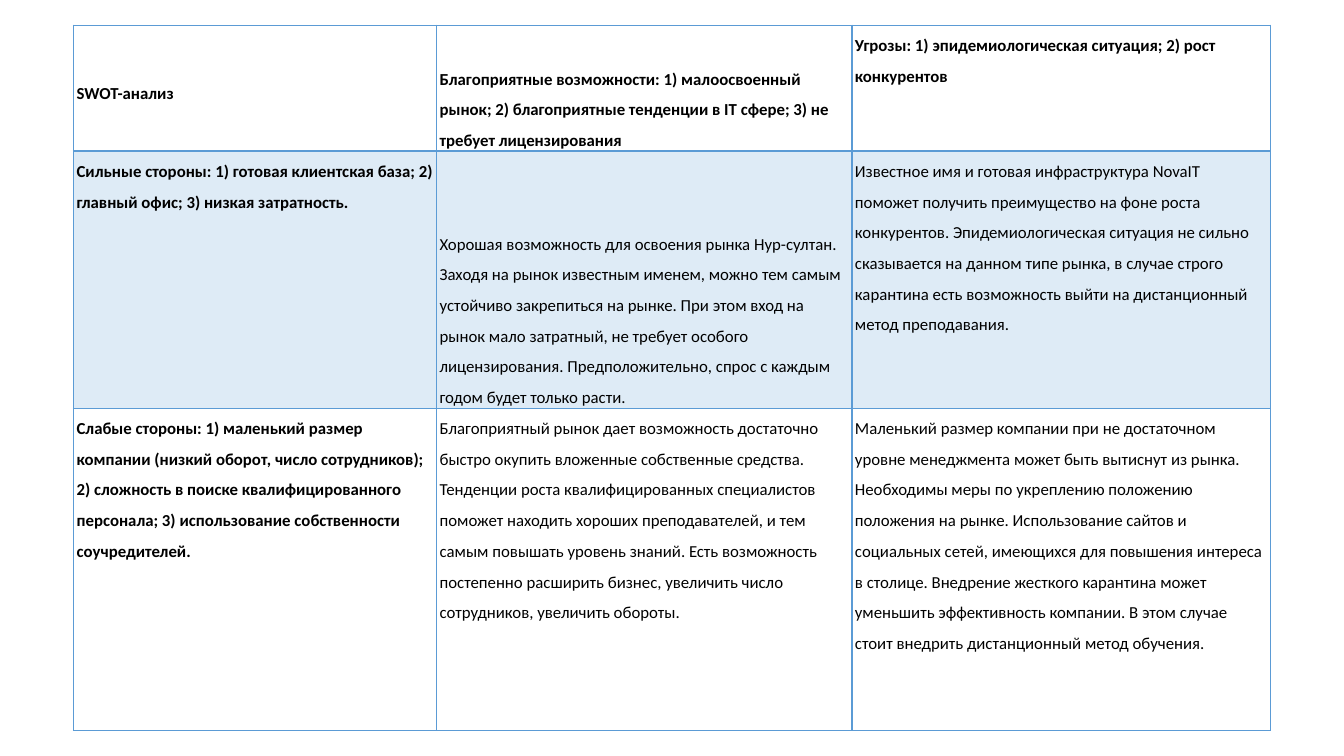
import pptx
import pptx.util
import pptx.dml.color
import pptx.enum.text
import pptx.oxml
import pptx.oxml.ns
import lxml.etree

Inches = pptx.util.Inches
Pt = pptx.util.Pt
RGBColor = pptx.dml.color.RGBColor
Anchor = pptx.enum.text.MSO_ANCHOR
qn = pptx.oxml.ns.qn

BLACK = RGBColor(0x00, 0x00, 0x00)
BLUE = RGBColor(0x5B, 0x9B, 0xD5)

WIDTHS = [3.6, 4.12, 4.15]
HEIGHTS = [1.25, 2.55, 3.2]
ANCHORS = {(0, 0): Anchor.MIDDLE, (0, 1): Anchor.BOTTOM, (1, 1): Anchor.BOTTOM}
SWOT = [
    [
        "SWOT-анализ",
        "Благоприятные возможности: 1) малоосвоенный рынок; 2) благоприятные "
        "тенденции в IT сфере; 3) не требует лицензирования",
        "Угрозы: 1) эпидемиологическая ситуация; 2) рост конкурентов",
    ],
    [
        "Сильные стороны: 1) готовая клиентская база; 2) главный офис; "
        "3) низкая затратность.",
        "Хорошая возможность для освоения рынка Нур-султан. Заходя на рынок "
        "известным именем, можно тем самым устойчиво закрепиться на рынке. "
        "При этом вход на рынок мало затратный, не требует особого "
        "лицензирования. Предположительно, спрос с каждым годом будет только "
        "расти.",
        "Известное имя и готовая инфраструктура NovaIT поможет получить "
        "преимущество на фоне роста конкурентов. Эпидемиологическая ситуация "
        "не сильно сказывается на данном типе рынка, в случае строго карантина "
        "есть возможность выйти на дистанционный метод преподавания.",
    ],
    [
        "Слабые стороны: 1) маленький размер компании (низкий оборот, число "
        "сотрудников); 2) сложность в поиске квалифицированного персонала; "
        "3) использование собственности соучредителей.",
        "Благоприятный рынок дает возможность достаточно быстро окупить "
        "вложенные собственные средства. Тенденции роста квалифицированных "
        "специалистов поможет находить хороших преподавателей, и тем самым "
        "повышать уровень знаний. Есть возможность постепенно расширить "
        "бизнес, увеличить число сотрудников, увеличить обороты.",
        "Маленький размер компании при не достаточном уровне менеджмента может "
        "быть вытиснут из рынка. Необходимы меры по укреплению положению "
        "положения на рынке. Использование сайтов и социальных сетей, "
        "имеющихся для повышения интереса в столице. Внедрение жесткого "
        "карантина может уменьшить эффективность компании. В этом случае стоит "
        "внедрить дистанционный метод обучения.",
    ],
]


def write(cell, text, size=12, bold=False, color=BLACK, anchor=Anchor.TOP):
    """Put formatted text into a table cell."""
    cell.margin_left = cell.margin_right = Inches(0.03)
    cell.margin_top = cell.margin_bottom = 0
    cell.vertical_anchor = anchor
    para = cell.text_frame.paragraphs[0]
    para.line_spacing = 1.5
    run = para.add_run()
    run.text = text
    run.font.name = "Calibri"
    run.font.size = Pt(size)
    run.font.bold = bold
    run.font.color.rgb = color


def border(cell, **widths):
    """Draw the cell edges L, R, T and B with widths in points."""
    props = cell._tc.get_or_add_tcPr()
    for side, width in widths.items():
        line = lxml.etree.SubElement(props, qn("a:ln" + side), w=str(Pt(width)))
        fill = lxml.etree.SubElement(line, qn("a:solidFill"))
        lxml.etree.SubElement(fill, qn("a:srgbClr"), val=str(BLUE))


def tint(cell, color, share):
    """Fill a cell with a colour at the given percentage of opacity."""
    cell.fill.solid()
    cell.fill.fore_color.rgb = color
    tone = cell._tc.tcPr.find(qn("a:solidFill")).find(qn("a:srgbClr"))
    lxml.etree.SubElement(tone, qn("a:alpha"), val=str(share * 1000))


def add_grid(slide, left, top):
    """Add the SWOT table to the slide."""
    frame = slide.shapes.add_table(
        len(HEIGHTS), len(WIDTHS), Inches(left), Inches(top),
        Inches(sum(WIDTHS)), Inches(sum(HEIGHTS)))
    table = frame.table
    table.first_row = table.horz_banding = False
    for column, width in zip(table.columns, WIDTHS):
        column.width = Inches(width)
    for row, height in zip(table.rows, HEIGHTS):
        row.height = Inches(height)
    for i, texts in enumerate(SWOT):
        for j, text in enumerate(texts):
            cell = table.cell(i, j)
            write(cell, text, bold=i == 0 or j == 0,
                  anchor=ANCHORS.get((i, j), Anchor.TOP))
            border(cell, L=1, R=1, T=2 if i == 1 else 1, B=2 if i == 0 else 1)
            if i == 1:
                tint(cell, BLUE, 20)
            else:
                cell.fill.background()


def main():
    """Build and save the SWOT slide."""
    deck = pptx.Presentation()
    deck.slide_width = Inches(13.33)
    deck.slide_height = Inches(7.5)
    slide = deck.slides.add_slide(deck.slide_layouts[6])
    add_grid(slide, 0.73, 0.25)
    deck.save("out.pptx")


if __name__ == "__main__":
    main()
